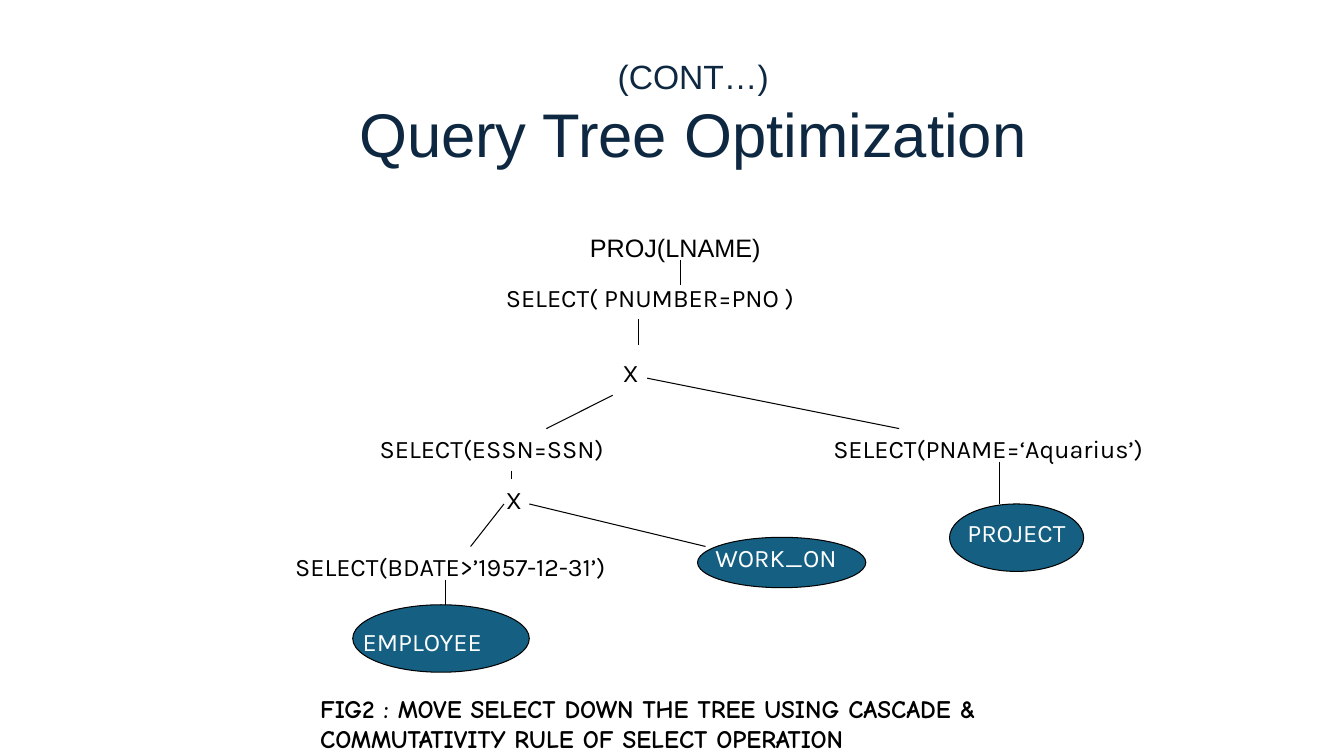
from lxml.etree import SubElement
from pptx import Presentation
from pptx.dml.color import RGBColor
from pptx.enum.shapes import MSO_CONNECTOR as Connector, MSO_SHAPE as Shape
from pptx.enum.text import MSO_ANCHOR as Anchor, MSO_AUTO_SIZE as AutoSize, PP_ALIGN as Align
from pptx.oxml.ns import qn
from pptx.util import Cm, Pt

NAVY = RGBColor(0x0E, 0x28, 0x41)
TEAL = RGBColor(0x15, 0x60, 0x82)
BLACK = RGBColor(0x00, 0x00, 0x00)
WHITE = RGBColor(0xFF, 0xFF, 0xFF)
LINE_WIDTH = Pt(0.75)
LABEL_HEIGHT = 1.02

OPERATIONS = [
    ("SELECT( PNUMBER=PNO )", 12.5, 6.99, 8.69),
    ("X", 15.44, 8.89, 1.27),
    ("SELECT(ESSN=SSN)", 9.32, 10.8, 8.05),
    ("SELECT(PNAME=‘Aquarius’)", 20.75, 10.8, 8.89),
    ("X", 12.5, 12.07, 0.84),
    ("SELECT(BDATE>’1957-12-31’)", 7.19, 13.77, 9.53),
]
RELATIONS = [
    ("EMPLOYEE", (8.89, 15.24, 4.45, 1.7), (8.89, 15.67, 4.45)),
    ("WORK_ON", (17.58, 13.54, 4.24, 1.27), (17.78, 13.54, 4.65)),
    ("PROJECT", (23.93, 12.7, 3.38, 1.7), (24.13, 12.9, 3.81)),
]
BRANCHES = [
    (17.15, 6.55, 17.15, 7.19),
    (16.08, 8.05, 16.08, 8.69),
    (15.44, 9.96, 13.77, 10.8),
    (16.31, 9.53, 22.66, 10.8),
    (25.2, 11.63, 25.2, 12.7),
    (12.9, 11.86, 12.9, 12.07),
    (12.7, 12.7, 11.86, 13.77),
    (13.34, 12.7, 17.78, 13.77),
    (11.23, 14.61, 11.23, 15.24),
]


def write_text(para, text, font="Karla", size=18, color=BLACK, bold=False):
    """Add a formatted span to a paragraph."""
    span = para.add_run()
    span.text = text
    span.font.name = font
    span.font.size = Pt(size)
    span.font.color.rgb = color
    span.font.bold = bold


def place(shape, left, top, width, height):
    """Move and size a placeholder, and fix its text frame."""
    shape.left, shape.top = Cm(left), Cm(top)
    shape.width, shape.height = Cm(width), Cm(height)
    shape.text_frame.word_wrap = True
    shape.text_frame.auto_size = AutoSize.NONE


def fill_title(title):
    """Write the two-line heading."""
    place(title, 6.99, 0.85, 20.96, 3.99)
    title.text_frame.vertical_anchor = Anchor.MIDDLE
    para = title.text_frame.paragraphs[0]
    para.alignment = Align.CENTER
    write_text(para, "(CONT…)", font="Arial", size=24, color=NAVY)
    para.add_line_break()
    write_text(para, "Query Tree Optimization", font="Arial", size=44, color=NAVY)


def fill_root(body):
    """Write the root of the tree in the body placeholder."""
    place(body, 6.99, 5.72, 20.96, 11.43)
    para = body.text_frame.paragraphs[0]
    properties = para._p.get_or_add_pPr()
    properties.set("marL", str(Cm(7.62)))
    properties.set("indent", "0")
    SubElement(properties, qn("a:buNone"))
    para.space_before = Pt(0)
    write_text(para, "PROJ(LNAME)", font="Arial")


def add_label(slide, text, left, top, width, height=LABEL_HEIGHT, **text_format):
    """Add a wrapped text box."""
    box = slide.shapes.add_textbox(Cm(left), Cm(top), Cm(width), Cm(height))
    box.text_frame.word_wrap = True
    write_text(box.text_frame.paragraphs[0], text, **text_format)


def add_ellipse(slide, *bounds):
    """Add the outlined ellipse behind a relation name."""
    ellipse = slide.shapes.add_shape(Shape.OVAL, *map(Cm, bounds))
    ellipse.shadow.inherit = False
    ellipse.fill.solid()
    ellipse.fill.fore_color.rgb = TEAL
    ellipse.line.color.rgb = BLACK
    ellipse.line.width = LINE_WIDTH


def add_branch(slide, *ends):
    """Add a straight line between two tree nodes."""
    branch = slide.shapes.add_connector(Connector.STRAIGHT, *map(Cm, ends))
    branch.line.color.rgb = BLACK
    branch.line.width = LINE_WIDTH
    SubElement(branch._element.spPr, qn("a:effectLst"))


def main():
    """Build and save the slide."""
    deck = Presentation()
    deck.slide_width, deck.slide_height = Cm(33.87), Cm(19.05)
    slide = deck.slides.add_slide(deck.slide_layouts[1])
    fill_title(slide.shapes.title)
    fill_root(slide.placeholders[1])
    for name, bounds, label in RELATIONS:
        add_ellipse(slide, *bounds)
        add_label(slide, name, *label, color=WHITE)
    for operation in OPERATIONS:
        add_label(slide, *operation)
    for ends in BRANCHES:
        add_branch(slide, *ends)
    caption = ("FIG2 : MOVE SELECT DOWN THE TREE USING CASCADE & "
               "COMMUTATIVITY RULE OF SELECT OPERATION")
    add_label(slide, caption, 7.82, 17.35, 20.96, 1.78, font="Comic Neue", bold=True)
    deck.save("out.pptx")


if __name__ == "__main__":
    main()
